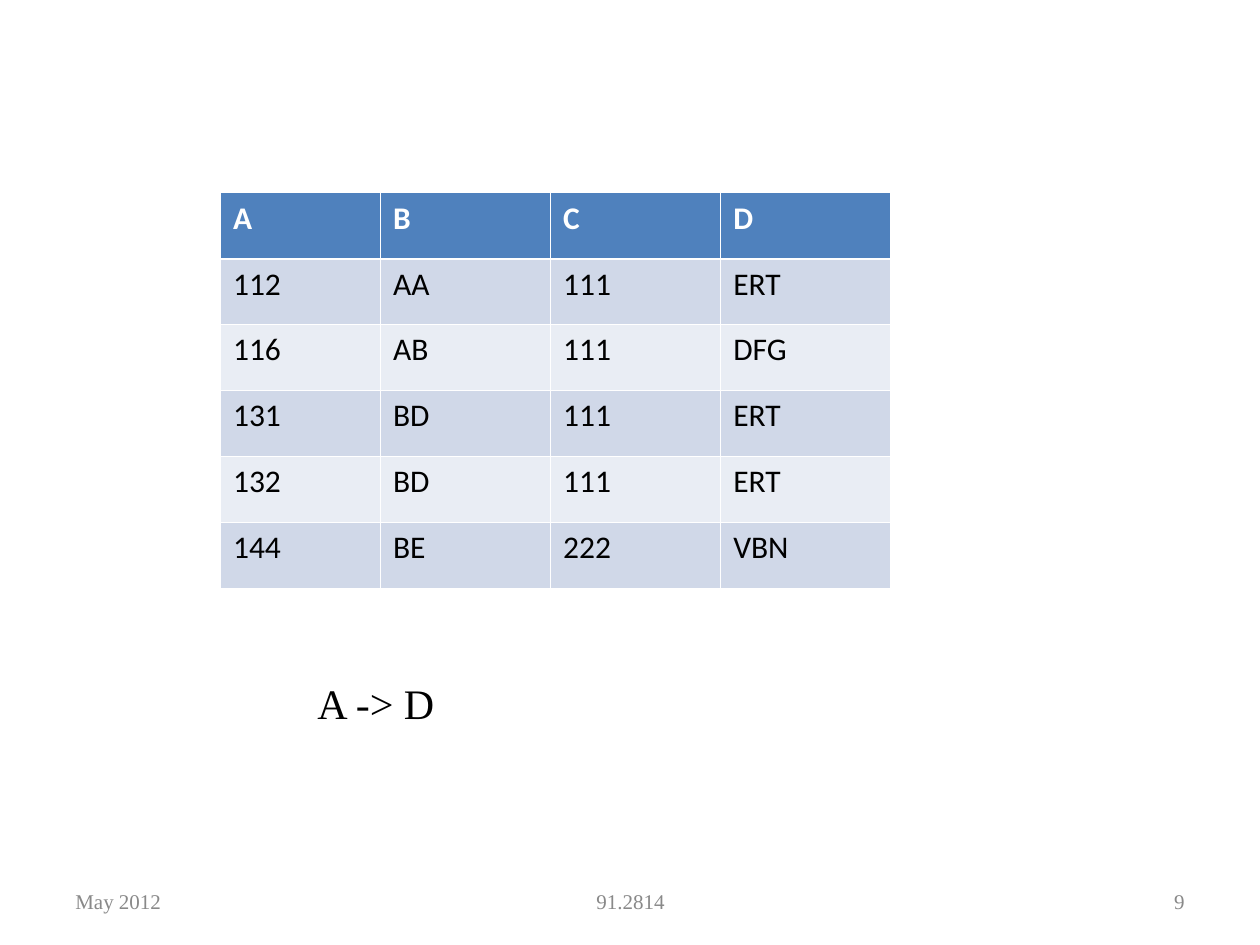
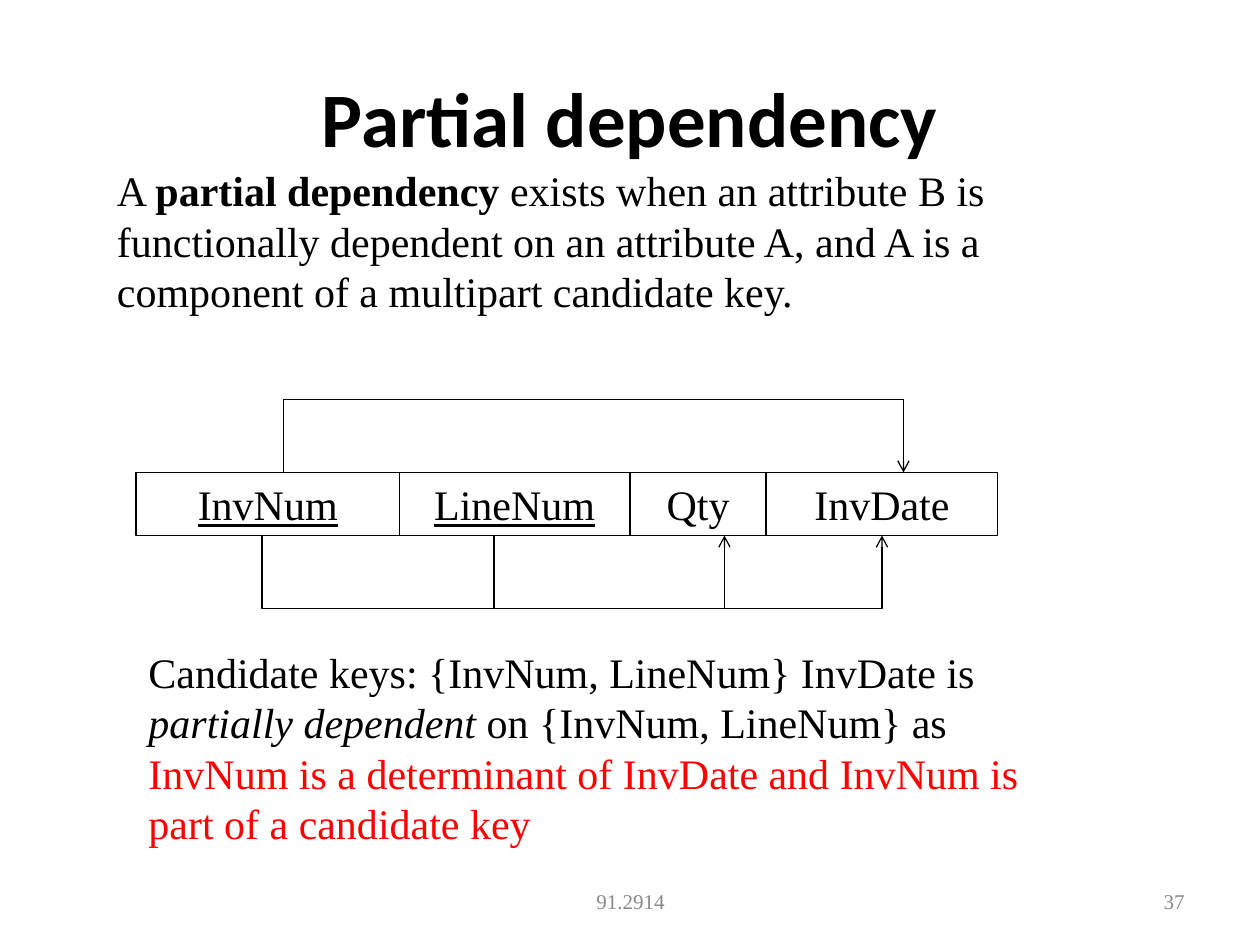
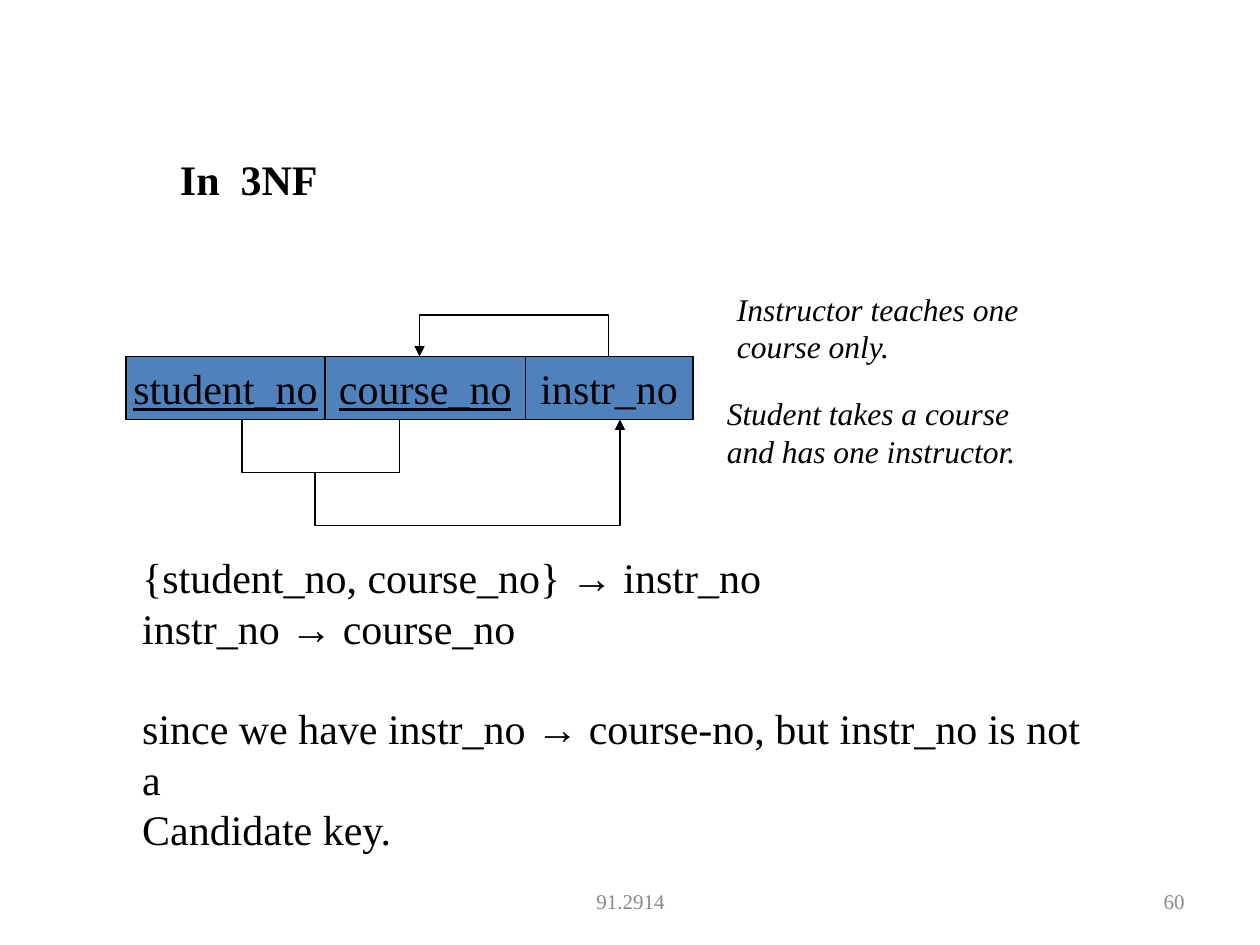
from lxml import etree
from pptx import Presentation
from pptx.dml.color import RGBColor
from pptx.enum.shapes import MSO_SHAPE
from pptx.enum.text import MSO_ANCHOR, PP_ALIGN
from pptx.oxml.ns import qn
from pptx.util import Inches, Pt

BLACK = RGBColor(0x00, 0x00, 0x00)
WHITE = RGBColor(0xFF, 0xFF, 0xFF)
GREY = RGBColor(0x89, 0x89, 0x89)
RED = RGBColor(0xFF, 0x00, 0x00)
BLUE = RGBColor(0x4F, 0x81, 0xBD)
BAND_DARK = RGBColor(0xD0, 0xD8, 0xE8)
BAND_LIGHT = RGBColor(0xE9, 0xED, 0xF4)
SERIF, SANS = "Times New Roman", "Calibri"
ARROW = ("→", {"font": "Arial"})
TITLE_ONLY, BLANK = 5, 6


def write(shape, *paras, align=PP_ALIGN.LEFT, anchor=MSO_ANCHOR.TOP, wrap=True, **fmt):
    """Fill a shape; a paragraph is a string or a list of strings and (text, format) pairs."""
    tf = shape.text_frame
    tf.word_wrap = wrap
    tf.vertical_anchor = anchor
    for i, para in enumerate(paras):
        p = tf.add_paragraph() if i else tf.paragraphs[0]
        p.alignment = align
        for run in [para] if isinstance(para, str) else para:
            text, own = (run, {}) if isinstance(run, str) else run
            f = {"size": 24, "font": SERIF, "color": BLACK, **fmt, **own}
            r = p.add_run()
            r.text = text
            r.font.name = f["font"]
            r.font.size = Pt(f["size"])
            r.font.color.rgb = f["color"]
            r.font.bold = f.get("bold", False)
            r.font.italic = f.get("italic", False)
            r.font.underline = f.get("underline", False)
    return tf


def add_text(s, left, top, width, height, *paras, **fmt):
    box = s.shapes.add_textbox(Inches(left), Inches(top), Inches(width), Inches(height))
    return write(box, *paras, **fmt)


prs = Presentation()
prs.slide_width, prs.slide_height = Inches(10), Inches(7.5)
table_slide, partial_slide, nf_slide = [
    prs.slides.add_slide(prs.slide_layouts[i]) for i in (BLANK, TITLE_ONLY, BLANK)
]

# Footers
for s, date, course, number in [
    (table_slide, "May 2012", "91.2814", "9"),
    (partial_slide, None, "91.2914", "37"),
    (nf_slide, None, "91.2914", "60"),
]:
    for left, width, text, align in [
        (0.5, 2.33, date, PP_ALIGN.LEFT),
        (3.42, 3.17, course, PP_ALIGN.CENTER),
        (7.17, 2.33, number, PP_ALIGN.RIGHT),
    ]:
        if text:
            add_text(s, left, 6.95, width, 0.4, text, size=12, color=GREY,
                     align=align, anchor=MSO_ANCHOR.MIDDLE)

# Slide 1: sample relation
rows = [
    ("A", "B", "C", "D"),
    ("112", "AA", "111", "ERT"),
    ("116", "AB", "111", "DFG"),
    ("131", "BD", "111", "ERT"),
    ("132", "BD", "111", "ERT"),
    ("144", "BE", "222", "VBN"),
]
table = table_slide.shapes.add_table(
    len(rows), 4, Inches(1.75), Inches(1.53), Inches(5.33), Inches(3.14)).table
for column, width in zip(table.columns, (1.27, 1.35, 1.35, 1.35)):
    column.width = Inches(width)
for i, values in enumerate(rows):
    for j, value in enumerate(values):
        cell = table.cell(i, j)
        header = i == 0
        write(cell, value, size=18, font=SANS, bold=header, color=WHITE if header else BLACK)
        tc_pr = cell._tc.get_or_add_tcPr()
        for side in ("lnL", "lnR", "lnT", "lnB"):
            thick = (i, side) in [(0, "lnB"), (1, "lnT")]
            ln = etree.SubElement(tc_pr, qn(f"a:{side}"), w=str(Pt(1.47 if thick else 0.45)))
            fill = etree.SubElement(ln, qn("a:solidFill"))
            etree.SubElement(fill, qn("a:srgbClr"), val=str(WHITE))
        cell.fill.solid()
        cell.fill.fore_color.rgb = BLUE if header else BAND_DARK if i % 2 else BAND_LIGHT
add_text(table_slide, 2.42, 5.33, 3.67, 0.5, "A -> D")

# Slide 2: partial dependency
title = partial_slide.shapes.title
title.left, title.top, title.width, title.height = map(Inches, (0.5, 0.3, 9, 1.25))
write(title, "Partial dependency", size=44, font=SANS, bold=True,
      align=PP_ALIGN.CENTER, anchor=MSO_ANCHOR.MIDDLE)
add_text(partial_slide, 0.83, 1.26, 8.25, 1.3, [
    "A ", ("partial dependency", {"bold": True}),
    " exists when an attribute B is functionally dependent on an attribute A, "
    "and A is a component of a multipart candidate key."])
add_text(partial_slide, 1.08, 5.08, 7.58, 1.7, [
    "Candidate keys: {InvNum, LineNum} InvDate is ",
    ("partially dependent", {"italic": True}),
    " on {InvNum, LineNum} as ",
    ("InvNum is a determinant of InvDate and InvNum is part of a candidate key",
     {"color": RED})])

# Slide 3: third normal form
add_text(nf_slide, 1.33, 1.17, 4.33, 0.5, "In  3NF", bold=True)
add_text(nf_slide, 5.75, 2.25, 2.83, 0.7, "Instructor teaches one course only.",
         size=18, italic=True)
add_text(nf_slide, 5.67, 3.08, 2.83, 0.7, "Student takes a course and has one instructor.",
         size=18, italic=True)
tf = add_text(
    nf_slide, 1.03, 4.33, 7.81, 2.1,
    ["{student_no, course_no} ", ARROW, " instr_no"],
    ["instr_no ", ARROW, " course_no"],
    ["since we have instr_no ", ARROW, " course-no, but instr_no is not a"],
    "Candidate key.")
tf.paragraphs[2].space_before = Pt(28.8)

# Dependency diagrams: a row of fields, the first two being the key, and the
# routes (start x, start y, turn y, end x, end y, arrowhead) between them
diagrams = [
    (partial_slide, 3.75, (1.08, 3.17, 5, 6.08, 7.92), None,
     ("InvNum", "LineNum", "Qty", "InvDate"),
     [(3.92, 4.25, 4.83, 5.75, 4.25, "arrow"),
      (2.08, 4.25, 4.83, 7, 4.25, "arrow"),
      (2.25, 3.75, 3.17, 7.17, 3.75, "arrow")]),
    (nf_slide, 2.83, (1, 2.58, 4.17, 5.5), BLUE,
     ("student_no", "course_no", "instr_no"),
     [(1.92, 3.33, 3.75, 3.17, 3.33, None),
      (2.5, 3.75, 4.17, 4.92, 3.33, "triangle"),
      (4.83, 2.83, 2.5, 3.33, 2.83, "triangle")]),
]
for s, top, edges, color, fields, routes in diagrams:
    outlined = []
    for i, (field, left, right) in enumerate(zip(fields, edges, edges[1:])):
        sp = s.shapes.add_shape(MSO_SHAPE.RECTANGLE, Inches(left), Inches(top),
                                Inches(right - left), Inches(0.5))
        write(sp, field, underline=i < 2, wrap=False,
              align=PP_ALIGN.CENTER, anchor=MSO_ANCHOR.MIDDLE)
        if color:
            sp.fill.solid()
            sp.fill.fore_color.rgb = color
        else:
            sp.fill.background()
        outlined.append(sp)
    for x1, y1, turn, x2, y2, head in routes:
        builder = s.shapes.build_freeform(Inches(x1), Inches(y1))
        builder.add_line_segments(
            [(Inches(x), Inches(y)) for x, y in ((x1, turn), (x2, turn), (x2, y2))],
            close=False)
        sp = builder.convert_to_shape()
        sp.fill.background()
        if head:
            etree.SubElement(sp.line._get_or_add_ln(), qn("a:tailEnd"), type=head)
        outlined.append(sp)
    for sp in outlined:
        sp.shadow.inherit = False
        sp.line.color.rgb = BLACK
        sp.line.width = Pt(0.75)

prs.save("out.pptx")
